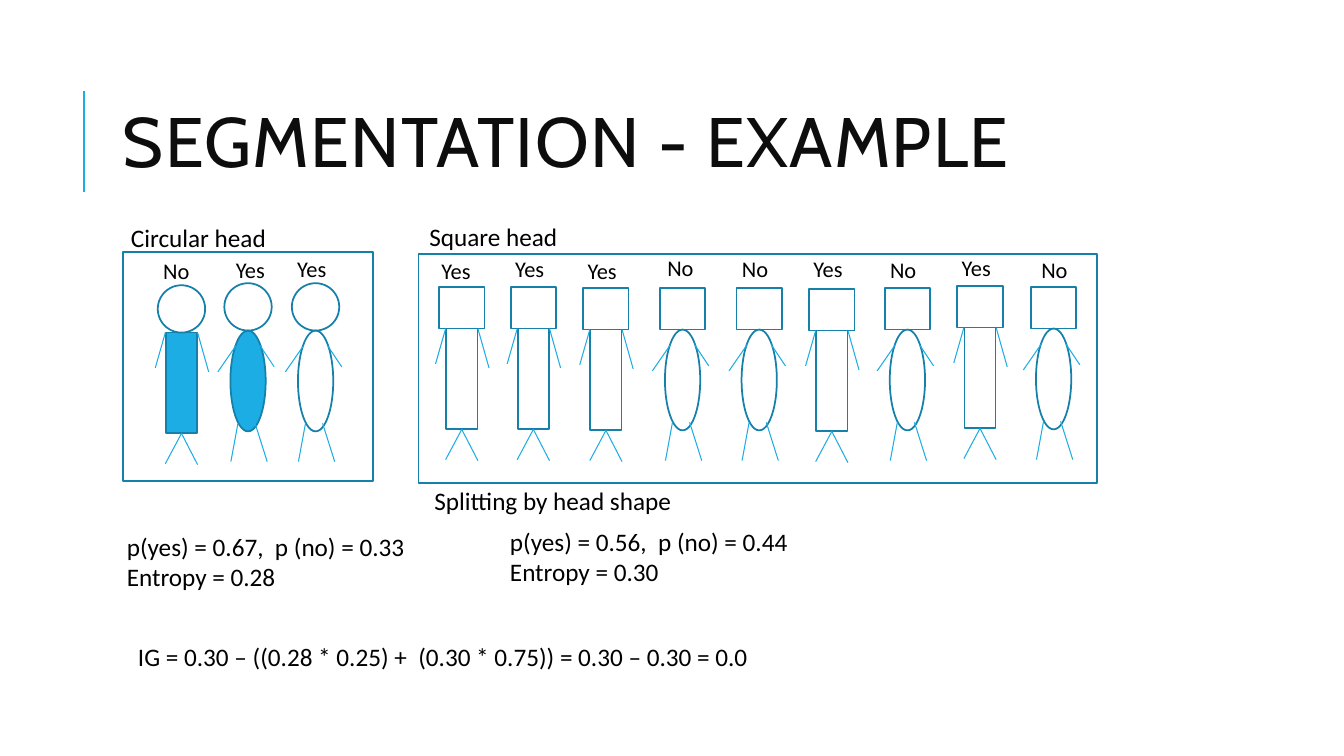
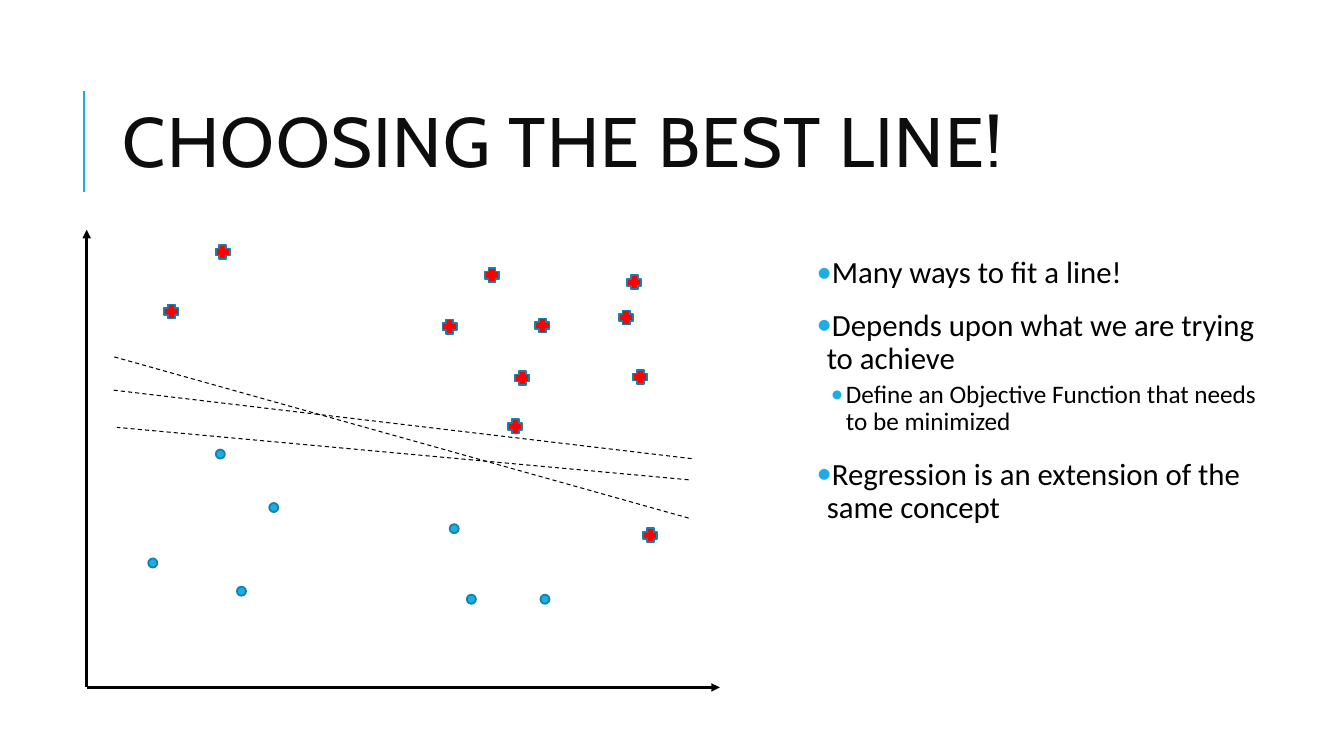
"""Build two slides on segmentation by head shape and on choosing a separating line."""

import dataclasses
import typing

import lxml.etree
import pptx
import pptx.dml.color
import pptx.enum.dml
import pptx.enum.shapes
import pptx.enum.text
import pptx.oxml.ns
import pptx.util

Inches = pptx.util.Inches
Preset = pptx.enum.shapes.MSO_SHAPE
Point = tuple[float, float]
Box = tuple[float, float, float, float]

COLORS = {
    "accent": "1CADE4",
    "outline": "1580A9",
    "title": "0D0D0D",
    "text": "000000",
    "cross": "FF0000",
}
TITLE_FONT = {"name": "Cabin", "size": pptx.util.Pt(50)}
BODY_FONT = {"name": "Calibri", "size": pptx.util.Pt(18)}
LABEL_FONT = BODY_FONT | {"size": pptx.util.Pt(16)}
BULLET_FONT = BODY_FONT | {"size": pptx.util.Pt(22)}
TIGHT_MARGINS = {
    f"margin_{side}": Inches(0.05) for side in ("left", "top", "right", "bottom")
}


@dataclasses.dataclass(frozen=True)
class Body:
    preset: Preset
    width: float
    limbs: tuple[tuple[Point, Point], ...]


@dataclasses.dataclass(frozen=True)
class Head:
    preset: Preset
    width: float
    height: float


@dataclasses.dataclass(frozen=True)
class Figure:
    center: float
    top: float
    head: Head
    body: Body
    answer: str
    answer_at: Point
    fill: str | None = None


@dataclasses.dataclass(frozen=True)
class Bullet:
    text: str
    level: int = 0


@dataclasses.dataclass(frozen=True)
class BulletStyle:
    font: dict[str, typing.Any]
    left: float
    hanging: float
    before: int
    after: int


@dataclasses.dataclass(frozen=True)
class Marker:
    preset: Preset
    size: float
    fill: str
    places: tuple[Point, ...]


BLOCK = Body(Preset.RECTANGLE, 0.31, (
    ((0, 1), (-0.16, 1.3)),
    ((0, 1), (0.16, 1.31)),
    ((-0.16, 0), (-0.26, 0.35)),
    ((0.16, 0), (0.27, 0.39)),
))
OVAL = Body(Preset.OVAL, 0.35, (
    ((-0.12, 0.15), (-0.3, 0.41)),
    ((0.12, 0.15), (0.26, 0.36)),
    ((-0.1, 0.92), (-0.17, 1.3)),
    ((0.07, 0.92), (0.19, 1.3)),
))
ROUND = Head(Preset.OVAL, 0.47, 0.47)
SQUARE = Head(Preset.RECTANGLE, 0.45, 0.41)

FIGURES = (
    Figure(1.8, 3.3, ROUND, BLOCK, "No", (1.52, 2.5), "accent"),
    Figure(2.46, 3.28, ROUND, OVAL, "Yes", (2.24, 2.49), "accent"),
    Figure(3.13, 3.28, ROUND, OVAL, "Yes", (2.85, 2.48)),
    Figure(4.58, 3.26, SQUARE, BLOCK, "Yes", (4.28, 2.5)),
    Figure(5.29, 3.26, SQUARE, BLOCK, "Yes", (5.01, 2.48)),
    Figure(6.01, 3.27, SQUARE, BLOCK, "Yes", (5.73, 2.5)),
    Figure(6.77, 3.27, SQUARE, OVAL, "No", (6.52, 2.47)),
    Figure(7.53, 3.27, SQUARE, OVAL, "No", (7.26, 2.48)),
    Figure(8.25, 3.28, SQUARE, BLOCK, "Yes", (7.97, 2.48)),
    Figure(9.0, 3.27, SQUARE, OVAL, "No", (8.73, 2.49)),
    Figure(9.72, 3.25, SQUARE, BLOCK, "Yes", (9.44, 2.47)),
    Figure(10.45, 3.26, SQUARE, OVAL, "No", (10.23, 2.49)),
)
FRAMES: tuple[Box, ...] = ((1.22, 2.5, 2.48, 2.27), (4.15, 2.52, 6.73, 2.27))
CAPTIONS: tuple[tuple[Box, tuple[str, ...]], ...] = (
    ((1.2, 2.16, 2.61, 0.4), ("Circular head",)),
    ((4.16, 2.15, 2.61, 0.4), ("Square head",)),
    ((4.21, 4.77, 5.02, 0.4), ("Splitting by head shape",)),
    ((1.16, 5.22, 3.26, 0.71), ("p(yes) = 0.67,  p (no) = 0.33", "Entropy = 0.28")),
    ((4.96, 5.17, 3.26, 0.71), ("p(yes) = 0.56,  p (no) = 0.44", "Entropy = 0.30")),
    ((1.27, 6.31, 10.85, 0.4),
     ("IG = 0.30 – ((0.28 * 0.25) +  (0.30 * 0.75)) = 0.30 – 0.30 = 0.0",)),
)

BULLET_STYLES = (
    BulletStyle(BULLET_FONT, 0.1, 0.1, 12, 2),
    BulletStyle(BODY_FONT, 0.29, 0.15, 2, 4),
)
BULLETS = (
    Bullet("Many ways to fit a line!"),
    Bullet("Depends upon what we are trying to achieve"),
    Bullet("Define an Objective Function that needs to be minimized", 1),
    Bullet("Regression is an extension of the same concept"),
)
MARKERS = (
    Marker(Preset.OVAL, 0.09, "accent", (
        (1.47, 5.54), (2.14, 4.46), (2.35, 5.82), (2.67, 4.99),
        (4.63, 5.9), (4.46, 5.2), (5.36, 5.9),
    )),
    Marker(Preset.CROSS, 0.14, "cross", (
        (4.81, 2.66), (6.22, 2.73), (1.63, 3.02), (5.31, 3.16),
        (2.14, 2.43), (5.11, 3.68), (6.14, 3.08), (5.04, 4.16),
        (4.39, 3.17), (6.28, 3.67), (6.38, 5.24),
    )),
)
ORIGIN = (0.86, 6.82)
AXIS_ENDS = ((0.86, 2.28), (7.14, 6.82))
CANDIDATE_LINES = (
    ((6.86, 4.55), (1.12, 3.87)),
    ((6.83, 5.14), (1.13, 3.54)),
    ((6.83, 4.76), (1.16, 4.24)),
)


def color_of(name: str) -> pptx.dml.color.RGBColor:
    """Return the named colour."""
    return pptx.dml.color.RGBColor.from_string(COLORS[name])


def apply_format(target: typing.Any, values: dict[str, typing.Any]) -> None:
    """Set each named attribute on the target."""
    for name, value in values.items():
        setattr(target, name, value)


def add_child(parent: typing.Any, tag: str, **attributes: str) -> typing.Any:
    """Append an XML element to the parent."""
    return lxml.etree.SubElement(parent, pptx.oxml.ns.qn(tag), attributes)


def add_line(shapes: typing.Any, start: Point, end: Point, color: str, width: float,
             dashed: bool = False, arrow: bool = False) -> None:
    """Draw a straight line, dashed or with an arrowhead on request."""
    connector = shapes.add_connector(
        pptx.enum.shapes.MSO_CONNECTOR.STRAIGHT, *map(Inches, start + end))
    connector.line.color.rgb = color_of(color)
    connector.line.width = pptx.util.Pt(width)
    if dashed:
        connector.line.dash_style = pptx.enum.dml.MSO_LINE.DASH
    properties = connector._element.spPr
    if arrow:
        add_child(properties.find(pptx.oxml.ns.qn("a:ln")), "a:tailEnd", type="triangle")
    add_child(properties, "a:effectLst")


def add_outlined(shapes: typing.Any, preset: Preset, box: Box, fill: str | None = None) -> None:
    """Draw a preset shape with the shared outline."""
    shape = shapes.add_shape(preset, *map(Inches, box))
    shape.shadow.inherit = False
    shape.line.color.rgb = color_of("outline")
    shape.line.width = pptx.util.Pt(1.25)
    if fill is None:
        shape.fill.background()
    else:
        shape.fill.solid()
        shape.fill.fore_color.rgb = color_of(fill)


def add_text(shapes: typing.Any, box: Box, lines: typing.Iterable[str],
             font: dict[str, typing.Any], color: str = "text", wrap: bool = True) -> typing.Any:
    """Write one paragraph per line and return the text frame."""
    frame = shapes.add_textbox(*map(Inches, box)).text_frame
    frame.word_wrap = wrap
    for index, line in enumerate(lines):
        paragraph = frame.add_paragraph() if index else frame.paragraphs[0]
        run = paragraph.add_run()
        run.text = line
        apply_format(run.font, font)
        run.font.color.rgb = color_of(color)
    return frame


def add_titled_slide(presentation: typing.Any, title: str) -> typing.Any:
    """Add a blank slide with the accent rule and title."""
    slide = presentation.slides.add_slide(presentation.slide_layouts[6])
    add_line(slide.shapes, (0.83, 1.9), (0.83, 0.9), "accent", 1.5)
    frame = add_text(slide.shapes, (1.12, 0.64, 10.63, 1.64), (title,), TITLE_FONT, "title")
    frame.vertical_anchor = pptx.enum.text.MSO_ANCHOR.MIDDLE
    paragraph = frame.paragraphs[0]
    paragraph.line_spacing = 0.8
    paragraph.runs[0]._r.get_or_add_rPr().set("spc", "100")
    return slide


def add_figure(slide: typing.Any, figure: Figure) -> None:
    """Draw one grouped person with its answer."""
    shapes = slide.shapes.add_group_shape().shapes
    head, body = figure.head, figure.body
    add_outlined(shapes, body.preset,
                 (figure.center - body.width / 2, figure.top, body.width, 1), figure.fill)
    add_outlined(shapes, head.preset, (figure.center - head.width / 2,
                 figure.top - head.height, head.width, head.height))
    for limb in body.limbs:
        start, end = ((figure.center + x, figure.top + y) for x, y in limb)
        add_line(shapes, start, end, "accent", 0.75)
    add_text(shapes, figure.answer_at + (0.5, 0.37), (figure.answer,), LABEL_FONT, wrap=False)


def add_bullets(slide: typing.Any, box: Box, bullets: tuple[Bullet, ...]) -> None:
    """Write the bulleted list."""
    frame = add_text(slide.shapes, box, (bullet.text for bullet in bullets), BULLET_FONT)
    apply_format(frame, TIGHT_MARGINS)
    for bullet, paragraph in zip(bullets, frame.paragraphs):
        style = BULLET_STYLES[bullet.level]
        apply_format(paragraph.runs[0].font, style.font)
        apply_format(paragraph, {
            "level": bullet.level,
            "line_spacing": 0.9,
            "space_before": pptx.util.Pt(style.before),
            "space_after": pptx.util.Pt(style.after),
        })
        properties = paragraph._p.get_or_add_pPr()
        properties.set("marL", str(Inches(style.left)))
        properties.set("indent", str(-Inches(style.hanging)))
        add_child(add_child(properties, "a:buClr"), "a:srgbClr", val=COLORS["accent"])
        add_child(properties, "a:buFont", typeface="Calibri")
        add_child(properties, "a:buChar", char="•")


def build_segmentation(presentation: typing.Any) -> None:
    """Build the slide that splits people by head shape."""
    slide = add_titled_slide(presentation, "SEGMENTATION - EXAMPLE")
    for figure in FIGURES:
        add_figure(slide, figure)
    for frame in FRAMES:
        add_outlined(slide.shapes, Preset.RECTANGLE, frame)
    for box, lines in CAPTIONS:
        add_text(slide.shapes, box, lines, BODY_FONT)


def build_best_line(presentation: typing.Any) -> None:
    """Build the slide that compares candidate lines."""
    slide = add_titled_slide(presentation, "CHOOSING THE BEST LINE!")
    add_bullets(slide, (8.05, 2.5, 4.49, 4.4), BULLETS)
    for end in AXIS_ENDS:
        add_line(slide.shapes, ORIGIN, end, "text", 2, arrow=True)
    for marker in MARKERS:
        for place in marker.places:
            add_outlined(slide.shapes, marker.preset,
                         place + (marker.size, marker.size), marker.fill)
    for start, end in CANDIDATE_LINES:
        add_line(slide.shapes, start, end, "text", 0.75, dashed=True)


def main() -> None:
    """Build and save the presentation."""
    presentation = pptx.Presentation()
    apply_format(presentation, {"slide_width": Inches(13.33), "slide_height": Inches(7.5)})
    build_segmentation(presentation)
    build_best_line(presentation)
    presentation.save("out.pptx")


if __name__ == "__main__":
    main()
